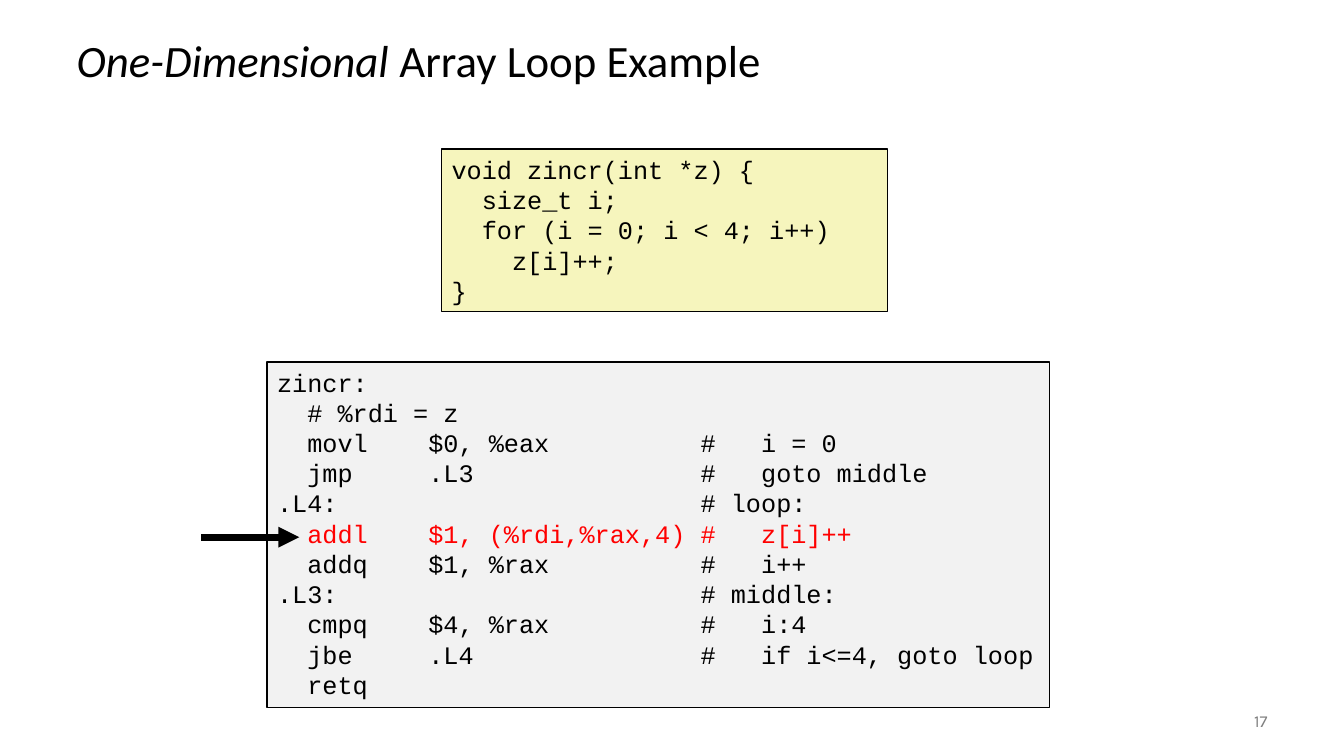
import pptx
import pptx.dml.color
import pptx.enum.shapes
import pptx.enum.text
import pptx.oxml
import pptx.oxml.ns
import pptx.util
from dataclasses import dataclass

ALIGN = pptx.enum.text.PP_ALIGN
ANCHOR = pptx.enum.text.MSO_ANCHOR


@dataclass(frozen=True)
class Theme:
    ink: str = "000000"
    highlight: str = "FF0000"
    muted: str = "808080"
    source_fill: str = "F6F5BD"
    assembly_fill: str = "F2F2F2"
    title_font: str = "Calibri"
    code_font: str = "Courier New"
    number_font: str = "Karla"
    title_size: int = 32
    code_size: int = 18
    number_size: int = 12
    border: int = 1
    arrow: int = 5


THEME = Theme()
WIDTH, HEIGHT = pptx.util.Inches(13.33), pptx.util.Inches(7.5)

# Boxes as percent of the slide: left, top, width, height
TITLE_BOX = (4.95, 3.33, 90, 10)
SOURCE_BOX = (32.86, 19.73, 33.16, 21.47)
ASSEMBLY_BOX = (19.88, 47.87, 58.21, 45.73)
NUMBER_BOX = (87.55, 92.67, 7.5, 5.33)

SOURCE_CODE = """void zincr(int *z) {
  size_t i;
  for (i = 0; i < 4; i++)
    z[i]++;
}"""

ASSEMBLY_CODE = """zincr:
  # %rdi = z
  movl    $0, %eax          #   i = 0
  jmp     .L3               #   goto middle
.L4:                        # loop:
  addl    $1, (%rdi,%rax,4) #   z[i]++
  addq    $1, %rax          #   i++
.L3:                        # middle:
  cmpq    $4, %rax          #   i:4
  jbe     .L4               #   if i<=4, goto loop
  retq"""
CURRENT_LINE = 5


def place(box):
    left, top, width, height = box
    return [int(share * side / 100) for share, side in
            ((left, WIDTH), (top, HEIGHT), (width, WIDTH), (height, HEIGHT))]


def rgb(code):
    return pptx.dml.color.RGBColor.from_string(code)


def apply(target, formats):
    for name, value in formats.items():
        setattr(target, name, value)


def write(paragraph, text, face, size, color, **formats):
    run = paragraph.add_run()
    run.text = text
    apply(run.font, {"name": face, "size": pptx.util.Pt(size), **formats})
    run.font.color.rgb = rgb(color)


def add_title(slide, box):
    title = slide.shapes.title
    apply(title, dict(zip(("left", "top", "width", "height"), place(box))))
    apply(title.text_frame, {"vertical_anchor": ANCHOR.MIDDLE, "word_wrap": True})
    heading = title.text_frame.paragraphs[0]
    apply(heading, {"alignment": ALIGN.LEFT, "line_spacing": 0.9})
    for text, italic in (("One-Dimensional ", True), ("Array Loop Example", False)):
        write(heading, text, THEME.title_font, THEME.title_size, THEME.ink, italic=italic)


def add_code(slide, box, code, fill, current=None):
    panel = slide.shapes.add_shape(pptx.enum.shapes.MSO_SHAPE.RECTANGLE, *place(box))
    panel.shadow.inherit = False
    panel.fill.solid()
    panel.fill.fore_color.rgb = rgb(fill)
    panel.line.color.rgb = rgb(THEME.ink)
    panel.line.width = pptx.util.Pt(THEME.border)
    listing = panel.text_frame
    apply(listing, {"word_wrap": True, "vertical_anchor": ANCHOR.TOP})
    for row, text in enumerate(code.split("\n")):
        line = listing.add_paragraph() if row else listing.paragraphs[0]
        line.alignment = ALIGN.LEFT
        color = THEME.highlight if row == current else THEME.ink
        write(line, text, THEME.code_font, THEME.code_size, color)


def add_line_pointer(slide, box):
    # Ends just inside the listing, level with the highlighted line
    left, top, width, height = place(box)
    level = int(top + 0.507 * height)
    arrow = slide.shapes.add_connector(
        pptx.enum.shapes.MSO_CONNECTOR.STRAIGHT,
        int(left - 0.084 * width), level, int(left + 0.041 * width), level)
    arrow.line.color.rgb = rgb(THEME.ink)
    arrow.line.width = pptx.util.Pt(THEME.arrow)
    head = pptx.oxml.ns.qn("a:tailEnd")
    arrow.line._get_or_add_ln().append(arrow._element.makeelement(head, {"type": "triangle"}))
    effects = pptx.oxml.ns.qn("a:effectLst")
    arrow._element.spPr.append(arrow._element.makeelement(effects, {}))


def add_slide_number(slide, box):
    number = slide.shapes.add_textbox(*place(box)).text_frame
    apply(number, {"word_wrap": True, "vertical_anchor": ANCHOR.MIDDLE})
    number.paragraphs[0].alignment = ALIGN.RIGHT
    write(number.paragraphs[0], "17", THEME.number_font, THEME.number_size, THEME.muted)


def main():
    deck = pptx.Presentation()
    apply(deck, {"slide_width": WIDTH, "slide_height": HEIGHT})
    slide = deck.slides.add_slide(deck.slide_layouts[5])
    add_title(slide, TITLE_BOX)
    add_code(slide, SOURCE_BOX, SOURCE_CODE, THEME.source_fill)
    add_code(slide, ASSEMBLY_BOX, ASSEMBLY_CODE, THEME.assembly_fill, CURRENT_LINE)
    add_line_pointer(slide, ASSEMBLY_BOX)
    add_slide_number(slide, NUMBER_BOX)
    deck.save("out.pptx")


if __name__ == "__main__":
    main()
